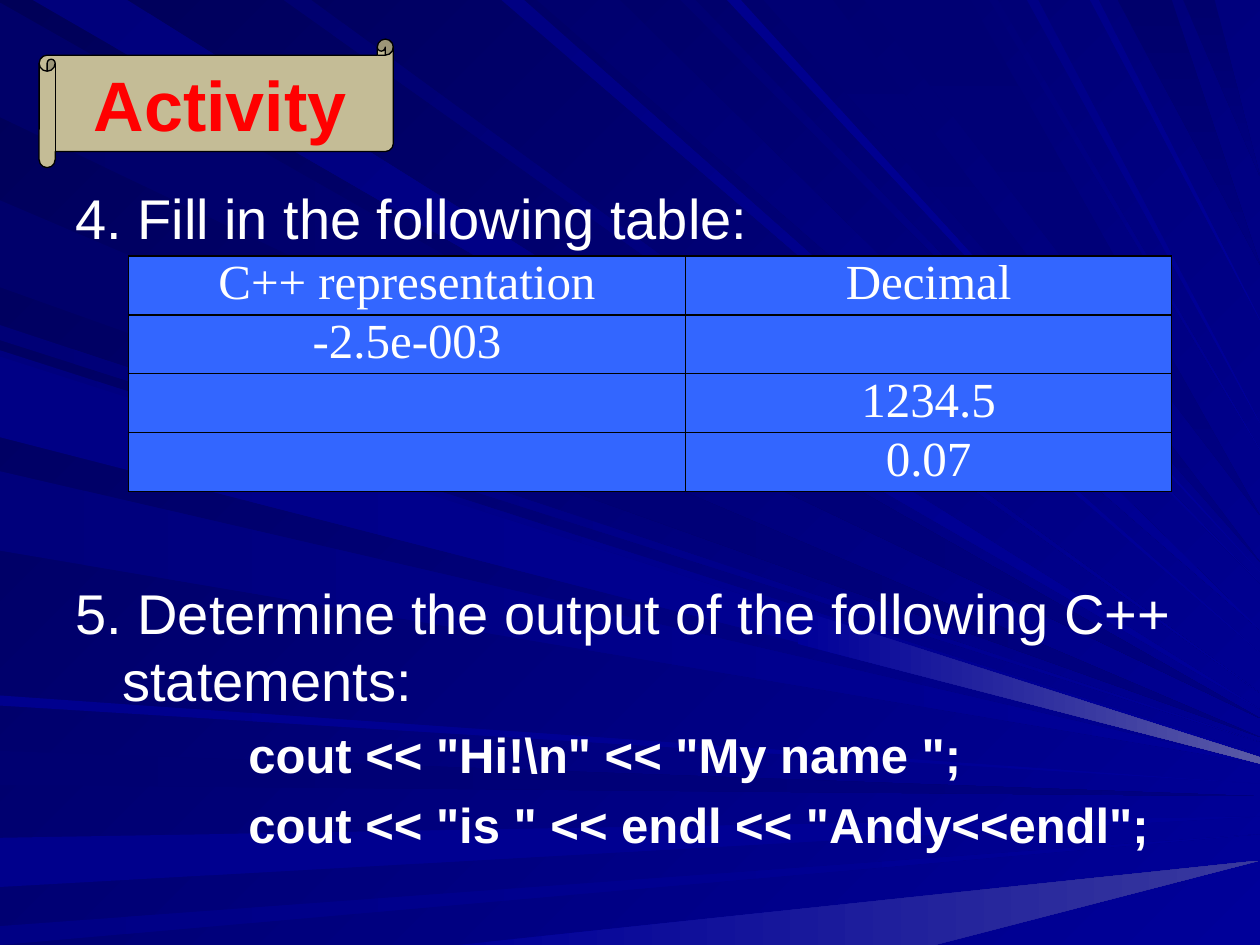
from lxml.etree import SubElement
from pptx import Presentation
from pptx.dml.color import RGBColor
from pptx.enum.shapes import MSO_SHAPE
from pptx.enum.text import MSO_ANCHOR, PP_ALIGN
from pptx.oxml.ns import qn
from pptx.util import Cm, Pt

BLUES = "58 69 6B 6D 70 71 73 76 78 7B 7E 80 83 85 8A 8C 8E 99"
HUES = {f"b{tone}": f"0000{tone}" for tone in BLUES.split()}
HUES |= {
    "glow": "39399E", "mist": "5A5AA6", "cell": "3366FF", "scroll": "C4BC96",
    "title": "FF0000", "text": "FFFFFF", "edge": "000000",
}
UNIT = Cm(2.54) / 100
WIDE, HIGH = 1000, 750

# side, start hue, end hue, span on that side, tip on the right side
RAYS = [
    ("left", "b69", "b80", 2, 93, 570),
    ("top", "b7B", "b99", 26, 101, 563),
    ("left", "b71", "b80", 596, 623, 632),
    ("left", "b8C", "b99", 665, 704, 648),
    ("left", "b85", "b99", 735, 750, 662),
    ("foot", "b99", "glow", 364, 742, 683),
    ("left", "b76", "b99", 258, 270, 589),
    ("left", "b6B", "b80", 159, 228, 585),
    ("top", "b83", "b99", 398, 416, 518),
    ("top", "b6D", "b99", 426, 492, 500),
    ("top", "b73", "b99", 540, 552, 463),
    ("top", "b73", "b80", 606, 661, 446),
    ("top", "b6B", "b80", 887, 930, 210),
    ("top", "b6D", "b80", 939, 964, 140),
    ("left", "b7E", "b99", 278, 342, 599),
    ("left", "b7B", "b99", 374, 437, 606),
    ("left", "b8E", "b99", 552, 560, 622),
    ("top", "b70", "b99", 225, 247, 550),
    ("top", "b8E", "b99", 577, 588, 454),
    ("top", "b73", "b80", 686, 770, 409),
    ("top", "b78", "b99", 785, 792, 357),
    ("top", "b85", "b99", 815, 824, 336),
    ("top", "b8A", "b99", 865, 872, 254),
    ("left", "b85", "b99", 283, 347, 604),
]
BEAM = [(637, 485), (633, 511), (WIDE, 606), (WIDE, 601)]

CELLS = [("C++ representation", "Decimal"), ("-2.5e-003", ""), ("", "1234.5"), ("", "0.07")]
TASKS = [
    ("4. Fill in the following table:", 0),
    ("5. Determine the output of the following C++ statements:", 187),
]
CODE = ['cout << "Hi!\\n" << "My name ";', 'cout << "is " << endl << "Andy<<endl";']


class Deck:
    """Hold the style and the current slide."""

    def __init__(self, face, serif):
        self.face, self.serif = face, serif
        self.show = Presentation()
        self.show.slide_width, self.show.slide_height = Cm(25.4), Cm(19.05)
        self.slide = self.show.slides.add_slide(self.show.slide_layouts[6])
        self.shapes = self.slide.shapes

    def hue(self, name):
        return RGBColor.from_string(HUES[name])

    def paint(self, fill, start, end=None, angle=0):
        if end is None:
            fill.solid()
            fill.fore_color.rgb = self.hue(start)
            return
        fill.gradient()
        fill.gradient_angle = (360 - angle) % 360
        for stop, name in zip(fill.gradient_stops, (start, end)):
            stop.color.rgb = self.hue(name)

    def style(self, para, size, name="text", bold=False, face=None):
        for run in para.runs:
            font = run.font
            font.name, font.size, font.bold = face or self.face, Pt(size), bold
            font.color.rgb = self.hue(name)

    def form(self, dots, start, end, angle=0):
        build = self.shapes.build_freeform(*dots[0], scale=UNIT)
        build.add_line_segments(dots[1:], close=True)
        shape = build.convert_to_shape()
        shape.shadow.inherit = False
        shape.line.fill.background()
        self.paint(shape.fill, start, end, angle)

    def ray(self, side, start, end, low, high, tip):
        level = HIGH if side == "foot" else 0
        base = [(0, spot) if side == "left" else (spot, level) for spot in (low, high)]
        angle = (90 if end == "b80" else 45) if side == "top" else 0
        self.form(base + [(WIDE, tip)], start, end, angle)

    def line(self, frame, text, size, left, first, gap, bold=False):
        para = frame.paragraphs[0]
        if para.runs:
            para = frame.add_paragraph()
        para.text = text
        props = para._p.get_or_add_pPr()
        props.set("marL", str(Cm(left)))
        props.set("indent", str(Cm(first)))
        if gap:
            para.space_before = Pt(gap)
        self.style(para, size, bold=bold)

    def body(self, tasks, code, *box):
        frame = self.shapes.add_textbox(*map(Cm, box)).text_frame
        frame.word_wrap = True
        for text, gap in tasks:
            self.line(frame, text, 32, 0.95, -0.95, gap)
        for text in code:
            self.line(frame, text, 28, 3.49, 0, 6.5, True)

    def scroll(self, text, *box):
        shape = self.shapes.add_shape(MSO_SHAPE.HORIZONTAL_SCROLL, *map(Cm, box))
        shape.shadow.inherit = False
        self.paint(shape.fill, "scroll")
        shape.line.color.rgb, shape.line.width = self.hue("edge"), Pt(0.75)
        shape.text_frame.text = text
        para = shape.text_frame.paragraphs[0]
        para.alignment, para.space_after = PP_ALIGN.CENTER, Pt(10)
        self.style(para, 40, "title", True)

    def border(self, cell):
        props = cell._tc.get_or_add_tcPr()
        for spot, side in enumerate(("lnL", "lnR", "lnT", "lnB")):
            line = SubElement(props, qn(f"a:{side}"), w=str(Pt(1)))
            props.insert(spot, line)
            solid = SubElement(line, qn("a:solidFill"))
            SubElement(solid, qn("a:srgbClr"), val=HUES["edge"])

    def table(self, rows, wide, *box):
        grid = self.shapes.add_table(len(rows), len(wide), *map(Cm, box)).table
        for col, width in zip(grid.columns, wide):
            col.width = Cm(width)
        for cell, text in zip(grid.iter_cells(), sum(rows, ())):
            cell.margin_left = cell.margin_right = Cm(0.18)
            cell.margin_top = cell.margin_bottom = 0
            cell.vertical_anchor = MSO_ANCHOR.TOP
            self.paint(cell.fill, "cell")
            self.border(cell)
            if text:
                cell.text_frame.text = text
                para = cell.text_frame.paragraphs[0]
                para.alignment = PP_ALIGN.CENTER
                self.style(para, 28, face=self.serif)


def main():
    deck = Deck("Arial", "Times New Roman")
    deck.paint(deck.slide.background.fill, "b58", "b99", 45)
    for ray in RAYS:
        deck.ray(*ray)
    deck.form(BEAM, "b99", "mist")
    deck.body(TASKS, CODE, 1.27, 3.58, 22.86, 14.48)
    deck.scroll("Activity", 0.79, 0.79, 7.14, 2.59)
    deck.table(CELLS, (11.23, 9.8), 2.59, 5.16, 21.03, 4.75)
    deck.show.save("out.pptx")


if __name__ == "__main__":
    main()
